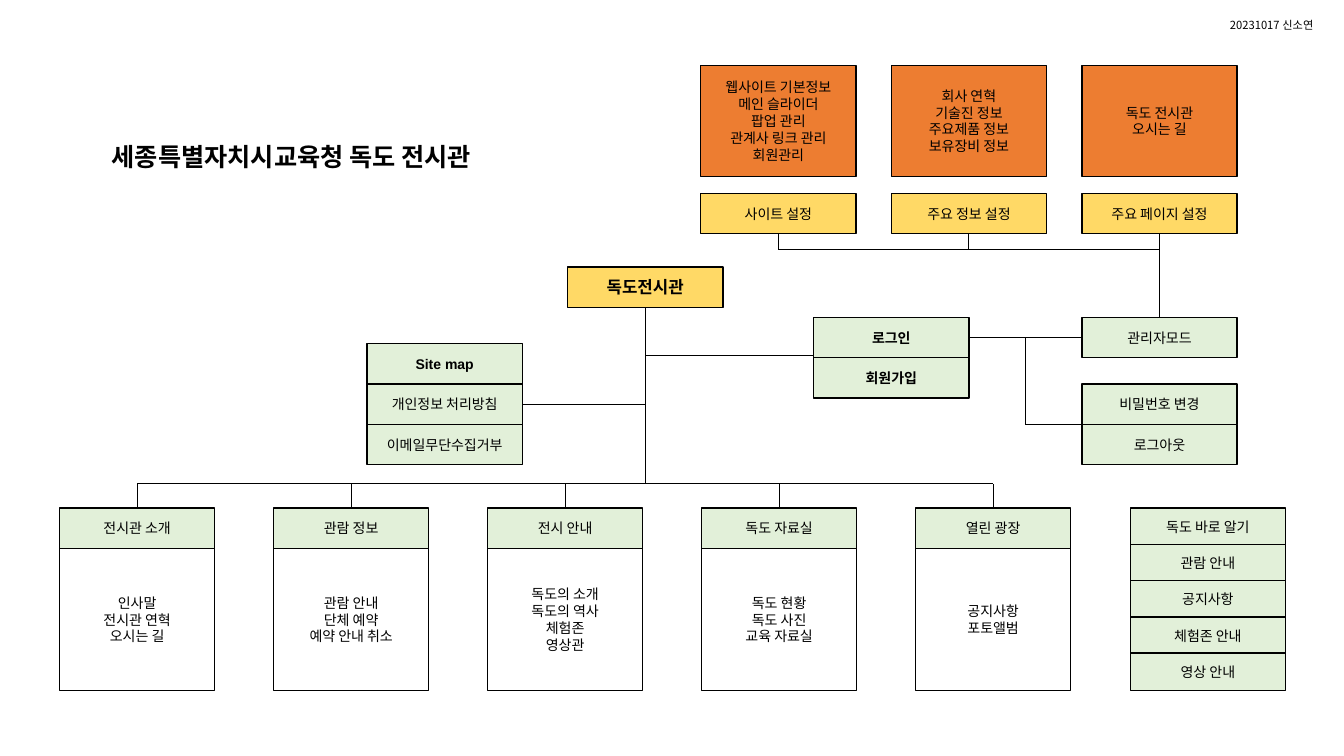
"""Site structure diagram of the Dokdo exhibition hall."""
from dataclasses import dataclass

import pptx
import pptx.dml.color
import pptx.enum.shapes
import pptx.enum.text
import pptx.oxml
import pptx.oxml.ns
import pptx.util
from pptx.util import Inches

BLACK, GREEN, YELLOW, ORANGE = "000000", "E2F0D9", "FFD966", "ED7D31"
BOX_W, BOX_H = 1.54, 0.4
TREE_Y, MENU_Y, PAGES_Y = 4.8, 5.04, 5.44
TRUNK_X = 6.4
ADMIN_X, ADMIN_Y, ADMIN_LINE_Y = 10.73, 3.15, 2.48
SETTING_Y = 1.92


@dataclass
class Box:
    """A bordered rectangle with centred lines of text."""
    x: float
    y: float
    lines: list[str]
    fill: str | None = GREEN
    h: float = BOX_H
    size: float = 10
    bold: bool = False


@dataclass
class Line:
    """A straight line between two points."""
    x1: float
    y1: float
    x2: float
    y2: float


@dataclass
class Label:
    """A free line of text."""
    x: float
    y: float
    w: float
    h: float
    text: str
    size: float
    bold: bool = False


def rgb(value: str) -> pptx.dml.color.RGBColor:
    """Turn a hex string into a colour."""
    return pptx.dml.color.RGBColor.from_string(value)


def add_run(p, text: str, font: str, size: float, bold: bool) -> None:
    """Add one black run to a paragraph."""
    r = p.add_run()
    r.text = text
    r.font.name, r.font.size, r.font.bold = font, pptx.util.Pt(size), bold
    r.font.color.rgb = rgb(BLACK)


def draw_box(s, box: Box) -> None:
    """Draw a box and its lines of text."""
    sp = s.shapes.add_shape(pptx.enum.shapes.MSO_SHAPE.RECTANGLE, Inches(box.x),
                            Inches(box.y), Inches(BOX_W), Inches(box.h))
    sp.shadow.inherit = False
    if box.fill:
        sp.fill.solid()
        sp.fill.fore_color.rgb = rgb(box.fill)
    else:
        sp.fill.background()
    sp.line.color.rgb = rgb(BLACK)
    sp.line.width = pptx.util.Pt(1)
    tf = sp.text_frame
    tf.word_wrap = True
    tf.vertical_anchor = pptx.enum.text.MSO_ANCHOR.MIDDLE
    for i, text in enumerate(box.lines):
        p = tf.add_paragraph() if i else tf.paragraphs[0]
        p.alignment = pptx.enum.text.PP_ALIGN.CENTER
        add_run(p, text, "Arial", box.size, box.bold)


def draw_line(s, line: Line) -> None:
    """Draw a thin black line without shadow."""
    c = s.shapes.add_connector(pptx.enum.shapes.MSO_CONNECTOR.STRAIGHT,
                               Inches(line.x1), Inches(line.y1),
                               Inches(line.x2), Inches(line.y2))
    c.line.color.rgb = rgb(BLACK)
    c.line.width = pptx.util.Pt(0.75)
    effects = pptx.oxml.ns.qn("a:effectLst")
    c._element.spPr.append(pptx.oxml.parse_xml(
        f'<a:effectLst {pptx.oxml.ns.nsdecls("a")}/>'))
    assert c._element.spPr.find(effects) is not None


def draw_label(s, label: Label) -> None:
    """Draw a text box that grows with its text."""
    tf = s.shapes.add_textbox(Inches(label.x), Inches(label.y),
                              Inches(label.w), Inches(label.h)).text_frame
    tf.word_wrap = False
    tf.auto_size = pptx.enum.text.MSO_AUTO_SIZE.SHAPE_TO_FIT_TEXT
    add_run(tf.paragraphs[0], label.text, "Noto Sans CJK KR", label.size, label.bold)


def stack(x: float, y: float, names: list[str], step: float = BOX_H,
          h: float = BOX_H) -> list[Box]:
    """Place single-line boxes one below the other."""
    return [Box(x, y + i * step, [name], h=h) for i, name in enumerate(names)]


MENUS = {
    "전시관 소개": ["인사말", "전시관 연혁", "오시는 길"],
    "관람 정보": ["관람 안내", "단체 예약", "예약 안내 취소"],
    "전시 안내": ["독도의 소개", "독도의 역사", "체험존", "영상관"],
    "독도 자료실": ["독도 현황", "독도 사진", "교육 자료실"],
    "열린 광장": ["공지사항", "포토앨범"],
}
SETTINGS = {
    "사이트 설정": ["웹사이트 기본정보", "메인 슬라이더", "팝업 관리",
               "관계사 링크 관리", "회원관리"],
    "주요 정보 설정": ["회사 연혁", "기술진 정보", "주요제품 정보", "보유장비 정보"],
    "주요 페이지 설정": ["독도 전시관", "오시는 길"],
}
QUICK_LINKS = ["독도 바로 알기", "관람 안내", "공지사항", "체험존 안내", "영상 안내"]
LABELS = [
    Label(1.01, 1.35, 4.17, 0.4, "세종특별자치시교육청 독도 전시관", 18, True),
    Label(12.1, 0.13, 1.07, 0.24, "20231017 신소연", 8),
]

menu_xs = [0.59 + 2.1225 * i for i in range(len(MENUS))]
setting_xs = [6.95 + 1.89 * i for i in range(len(SETTINGS))]
menu_mids = [x + BOX_W / 2 for x in menu_xs]
setting_mids = [x + BOX_W / 2 for x in setting_xs]

lines = [
    Line(5.17, 4.01, TRUNK_X, 4.01),
    Line(8.07, 3.53, TRUNK_X, 3.53),
    Line(TRUNK_X, 3.05, TRUNK_X, TREE_Y),
    Line(menu_mids[0], TREE_Y, menu_mids[-1], TREE_Y),
    Line(9.61, 3.35, ADMIN_X, 3.35),
    Line(10.17, 3.35, 10.17, 4.21),
    Line(ADMIN_X, 4.21, 10.17, 4.21),
    Line(setting_mids[0], ADMIN_LINE_Y, setting_mids[-1], ADMIN_LINE_Y),
    Line(setting_mids[-1], ADMIN_LINE_Y, setting_mids[-1], ADMIN_Y),
]
lines += [Line(x, MENU_Y, x, TREE_Y) for x in menu_mids]
lines += [Line(x, SETTING_Y + BOX_H, x, ADMIN_LINE_Y) for x in setting_mids]

boxes = [
    Box(5.63, 2.65, ["독도전시관"], YELLOW, size=12, bold=True),
    Box(3.64, 3.41, ["Site map"], bold=True),
    *stack(3.64, 3.81, ["개인정보 처리방침", "이메일무단수집거부"]),
    Box(8.07, ADMIN_Y, ["로그인"], bold=True),
    Box(8.07, ADMIN_Y + BOX_H, ["회원가입"], bold=True),
    Box(ADMIN_X, ADMIN_Y, ["관리자모드"]),
    *stack(ADMIN_X, 3.81, ["비밀번호 변경", "로그아웃"]),
    *stack(11.21, MENU_Y, QUICK_LINKS, step=0.36, h=0.37),
]
for x, (name, pages) in zip(menu_xs, MENUS.items()):
    boxes += [Box(x, MENU_Y, [name]), Box(x, PAGES_Y, pages, None, h=1.41)]
for x, (name, items) in zip(setting_xs, SETTINGS.items()):
    boxes += [Box(x, SETTING_Y, [name], YELLOW), Box(x, 0.65, items, ORANGE, h=1.1)]

prs = pptx.Presentation()
prs.slide_width, prs.slide_height = Inches(13.33), Inches(7.5)
s = prs.slides.add_slide(prs.slide_layouts[6])
for line in lines:
    draw_line(s, line)
for box in boxes:
    draw_box(s, box)
for label in LABELS:
    draw_label(s, label)
prs.save("out.pptx")
